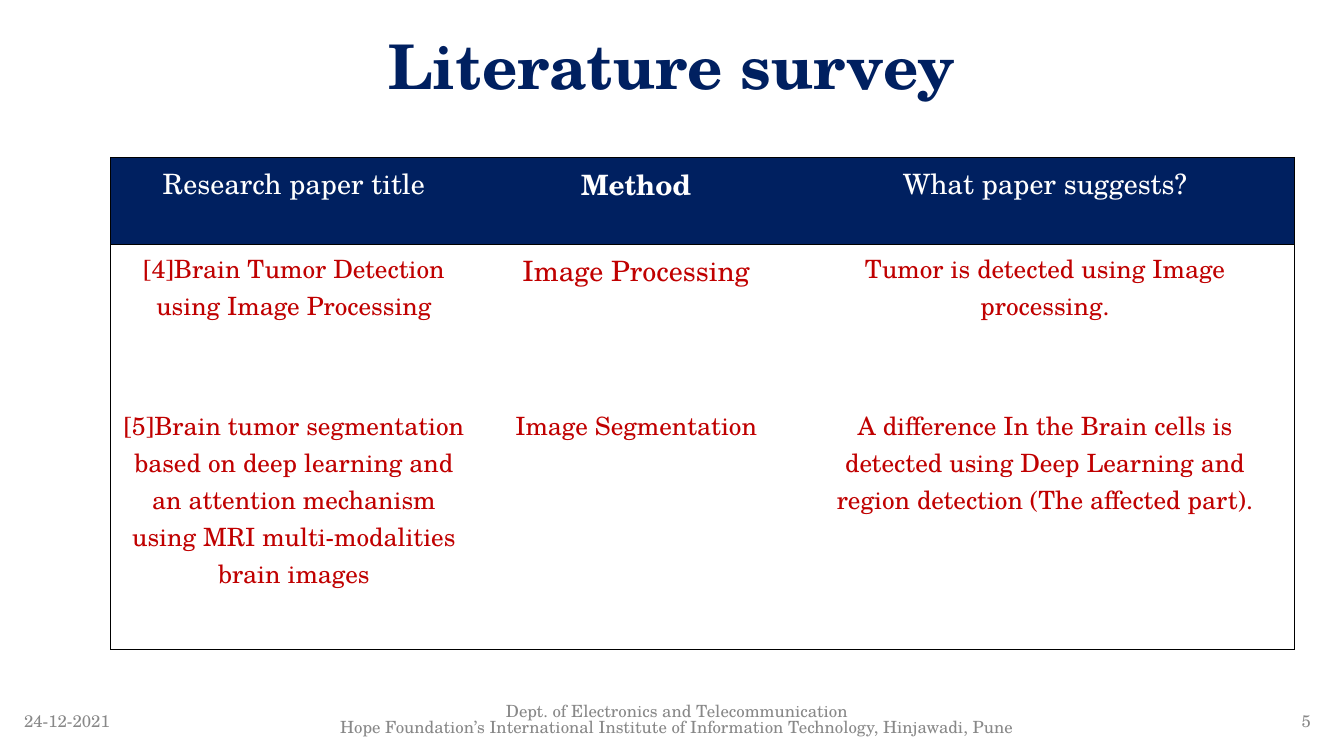
"""Build the literature survey slide with its table of research papers."""
from dataclasses import dataclass

import pptx
import pptx.dml.color
import pptx.enum.text
import pptx.oxml
import pptx.oxml.ns
import pptx.util

Inches = pptx.util.Inches
Align = pptx.enum.text.PP_ALIGN
Anchor = pptx.enum.text.MSO_ANCHOR


@dataclass(frozen=True)
class Theme:
    """Colours, font and type sizes of the slide."""
    font: str = "TeX Gyre Schola"
    navy: str = "002060"
    red: str = "C00000"
    white: str = "FFFFFF"
    grey: str = "888888"
    border: str = "000000"
    border_width: float = 0.75
    title: int = 44
    heading: int = 20
    body: int = 18
    footer: int = 12


THEME = Theme()
TITLE = "Literature survey"
HEADINGS = ["Research paper title", "Method", "What paper suggests?"]
BOLD_HEADING = "Method"
LARGE_METHOD = "Image Processing"
PAPERS = [
    ("[4]Brain Tumor Detection using Image Processing",
     "Image Processing",
     "Tumor is detected using Image processing."),
    ("[5]Brain tumor segmentation based on deep learning and an attention "
     "mechanism using MRI multi‑modalities brain images",
     "Image Segmentation",
     "A difference In the Brain cells is detected using Deep Learning and "
     "region detection (The affected part)."),
]
INSTITUTE = [
    "Dept. of Electronics and Telecommunication",
    "Hope Foundation’s International Institute of Information Technology, Hinjawadi, Pune",
]
FOOTER_TOP, FOOTER_HEIGHT = 6.95, 0.4
FOOTERS = [
    (["24-12-2021"], 0.14, 1.19, Align.LEFT),
    (INSTITUTE, 2.19, 9.05, Align.CENTER),
    (["5"], 12.57, 0.53, Align.RIGHT),
]
TABLE_LEFT, TABLE_TOP = 1.1, 1.56
COLUMN_WIDTHS = [3.63, 3.16, 4.95]
ROW_HEIGHTS = [0.87, 1.56, 2.45]


def rgb(colour):
    return pptx.dml.color.RGBColor.from_string(colour)


def style(paragraph, size, colour, align, bold=False, spacing=None):
    paragraph.alignment = align
    paragraph.line_spacing = spacing
    paragraph.font.name = THEME.font
    paragraph.font.size = pptx.util.Pt(size)
    paragraph.font.color.rgb = rgb(colour)
    paragraph.font.bold = bold


def add_text(slide, lines, box, size, colour, align, bold=False, spacing=None):
    frame = slide.shapes.add_textbox(*map(Inches, box)).text_frame
    frame.word_wrap = True
    frame.vertical_anchor = Anchor.MIDDLE
    frame.text = "\n".join(lines)
    for paragraph in frame.paragraphs:
        style(paragraph, size, colour, align, bold, spacing)


def set_borders(cell, visible_sides):
    properties = cell._tc.get_or_add_tcPr()
    width = pptx.util.Pt(THEME.border_width)
    for index, side in enumerate("LRTB"):
        paint = "<a:noFill/>"
        if side in visible_sides:
            paint = f'<a:solidFill><a:srgbClr val="{THEME.border}"/></a:solidFill>'
        properties.insert(index, pptx.oxml.parse_xml(
            f'<a:ln{side} {pptx.oxml.ns.nsdecls("a")} w="{int(width)}">{paint}</a:ln{side}>'))


def fill_cell(cell, text, is_heading):
    cell.text = text
    large = is_heading or text == LARGE_METHOD
    style(cell.text_frame.paragraphs[0],
          THEME.heading if large else THEME.body,
          THEME.white if is_heading else THEME.red,
          Align.CENTER, text == BOLD_HEADING)
    if is_heading:
        cell.fill.solid()
        cell.fill.fore_color.rgb = rgb(THEME.navy)
    else:
        cell.fill.background()


def add_survey(slide):
    rows = [HEADINGS, *PAPERS]
    last_row, last_column = len(rows) - 1, len(HEADINGS) - 1
    survey = slide.shapes.add_table(
        len(rows), len(HEADINGS), Inches(TABLE_LEFT), Inches(TABLE_TOP),
        Inches(sum(COLUMN_WIDTHS)), Inches(sum(ROW_HEIGHTS))).table
    survey.first_row = survey.horz_banding = False
    for column, width in zip(survey.columns, COLUMN_WIDTHS):
        column.width = Inches(width)
    for row, height in zip(survey.rows, ROW_HEIGHTS):
        row.height = Inches(height)
    for r, texts in enumerate(rows):
        for c, text in enumerate(texts):
            cell = survey.cell(r, c)
            fill_cell(cell, text, r == 0)
            edges = {"L": c == 0, "R": c == last_column,
                     "T": r <= 1, "B": r in (0, last_row)}
            set_borders(cell, [side for side, shown in edges.items() if shown])


def main():
    deck = pptx.Presentation()
    deck.slide_width, deck.slide_height = Inches(13.33), Inches(7.5)
    slide = deck.slides.add_slide(deck.slide_layouts[6])
    add_text(slide, [TITLE], (0, 0.21, 13.33, 0.96), THEME.title, THEME.navy,
             Align.CENTER, bold=True, spacing=0.9)
    for lines, left, width, align in FOOTERS:
        add_text(slide, lines, (left, FOOTER_TOP, width, FOOTER_HEIGHT),
                 THEME.footer, THEME.grey, align,
                 spacing=0.8 if len(lines) > 1 else None)
    add_survey(slide)
    deck.save("out.pptx")


if __name__ == "__main__":
    main()
